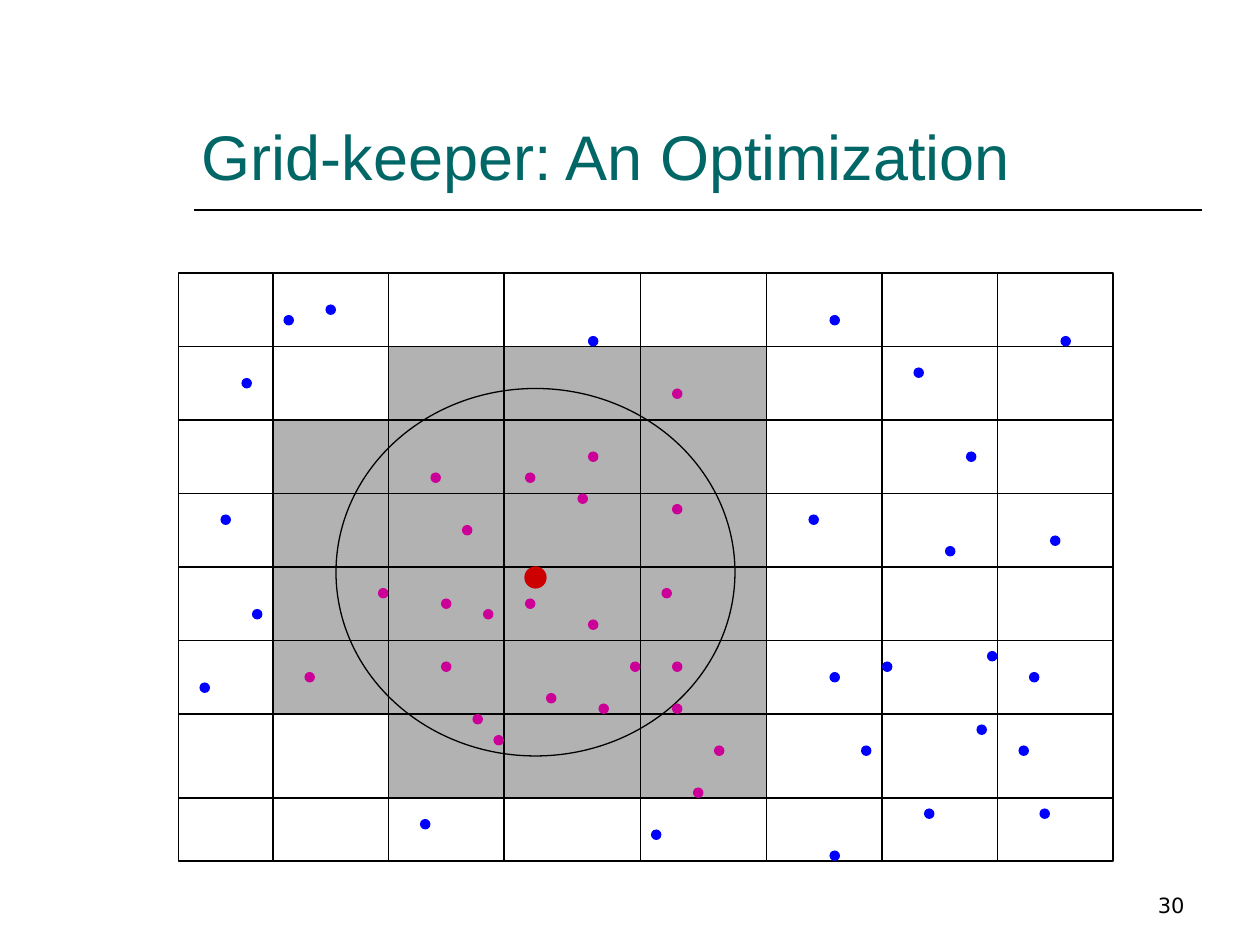
from pptx import Presentation
from pptx.dml.color import RGBColor
from pptx.enum.shapes import MSO_CONNECTOR, MSO_SHAPE
from pptx.enum.text import MSO_ANCHOR, MSO_AUTO_SIZE, PP_ALIGN
from pptx.oxml.ns import qn
from pptx.util import Emu, Pt
from lxml.etree import SubElement

PX = 7620  # EMU per px, 120 px to the inch

BLACK, WHITE, GREY = "000000", "FFFFFF", "B2B2B2"
TEAL, RED, PINK, BLUE = "006666", "CC0000", "CC0099", "0000FF"

# Grid: outer edges and inner lines
LEFT, TOP, RIGHT, BOTTOM = 170, 260, 1060, 820
COLUMNS = [260, 370, 480, 610, 730, 840, 950]
ROWS = [*range(330, 681, 70), 760]
DOT = 10

# Top left corners of the dots
NEAR_DOTS = [
    (290, 640), (360, 560), (500, 570), (410, 450), (560, 590), (500, 450),
    (640, 480), (420, 570), (570, 670), (630, 560), (640, 630), (550, 470),
    (450, 680), (420, 630), (520, 660), (560, 430), (440, 500), (470, 700),
    (460, 580), (640, 370), (600, 630), (640, 670), (660, 750), (680, 710),
]
FAR_DOTS = [
    (240, 580), (900, 520), (790, 810), (930, 690), (270, 300), (1000, 510),
    (770, 490), (840, 630), (940, 620), (870, 350), (560, 320), (190, 650),
    (400, 780), (620, 790), (230, 360), (880, 770), (210, 490), (790, 640),
    (310, 290), (990, 770), (820, 710), (790, 300), (920, 430), (970, 710),
    (980, 640), (1010, 320),
]


def px(*lengths):
    return [Emu(length * PX) for length in lengths]


def color(hex_text):
    return RGBColor.from_string(hex_text)


def add_shape(slide, kind, box, fill=None, line=None):
    shape = slide.shapes.add_shape(kind, *px(*box))
    shape.shadow.inherit = False
    if fill:
        shape.fill.solid()
        shape.fill.fore_color.rgb = color(fill)
    else:
        shape.fill.background()
    if line:
        shape.line.color.rgb = color(line)
        shape.line.width = Pt(0.75)
    else:
        shape.line.fill.background()


def add_line(slide, start, end, width=0.75):
    line = slide.shapes.add_connector(MSO_CONNECTOR.STRAIGHT, *px(*start, *end))
    line.line.color.rgb = color(BLACK)
    line.line.width = Pt(width)
    SubElement(line._element.spPr, qn("a:effectLst"))


def write_text(shape, text, font, size, hex_text, alignment):
    frame = shape.text_frame
    frame.word_wrap = True
    frame.auto_size = MSO_AUTO_SIZE.NONE
    frame.vertical_anchor = MSO_ANCHOR.BOTTOM
    paragraph = frame.paragraphs[0]
    paragraph.alignment = alignment
    run = paragraph.add_run()
    run.text = text
    run.font.name = font
    run.font.size = Pt(size)
    run.font.color.rgb = color(hex_text)


def add_title(slide, text):
    title = slide.shapes.title
    title.left, title.top, title.width, title.height = px(180, 40, 960, 150)
    write_text(title, text, "Arial", 36, TEAL, PP_ALIGN.LEFT)
    add_line(slide, (185, 200), (1145, 200), 1)


def add_grid(slide):
    # Searched area without its two left corner cells
    first, second, last = COLUMNS[0], COLUMNS[1], COLUMNS[4]
    add_shape(slide, MSO_SHAPE.RECTANGLE,
              (first, ROWS[0], last - first, ROWS[-1] - ROWS[0]), GREY)
    for top, bottom in (ROWS[:2], ROWS[-2:]):
        add_shape(slide, MSO_SHAPE.RECTANGLE,
                  (first, top, second - first, bottom - top), WHITE, BLACK)

    # Frame and inner lines
    add_shape(slide, MSO_SHAPE.RECTANGLE,
              (LEFT, TOP, RIGHT - LEFT, BOTTOM - TOP), line=BLACK)
    for y in ROWS:
        add_line(slide, (LEFT, y), (RIGHT, y))
    for x in COLUMNS:
        add_line(slide, (x, BOTTOM), (x, TOP))


def add_dots(slide, corners, fill):
    for x, y in corners:
        add_shape(slide, MSO_SHAPE.OVAL, (x, y, DOT, DOT), fill)


def main():
    presentation = Presentation()
    presentation.slide_width, presentation.slide_height = px(1200, 900)
    slide = presentation.slides.add_slide(presentation.slide_layouts[5])

    add_title(slide, "Grid-keeper: An Optimization")
    add_grid(slide)

    # Search range, its centre and the points
    add_shape(slide, MSO_SHAPE.OVAL, (320, 370, 380, 350), line=BLACK)
    add_shape(slide, MSO_SHAPE.OVAL, (500, 540, 20, 20), RED, RED)
    add_dots(slide, NEAR_DOTS, PINK)
    add_dots(slide, FAR_DOTS, BLUE)

    # Slide number
    number = slide.shapes.add_textbox(*px(860, 820, 280, 60))
    write_text(number, "30", "DejaVu Sans", 12, BLACK, PP_ALIGN.RIGHT)

    presentation.save("out.pptx")


if __name__ == "__main__":
    main()
